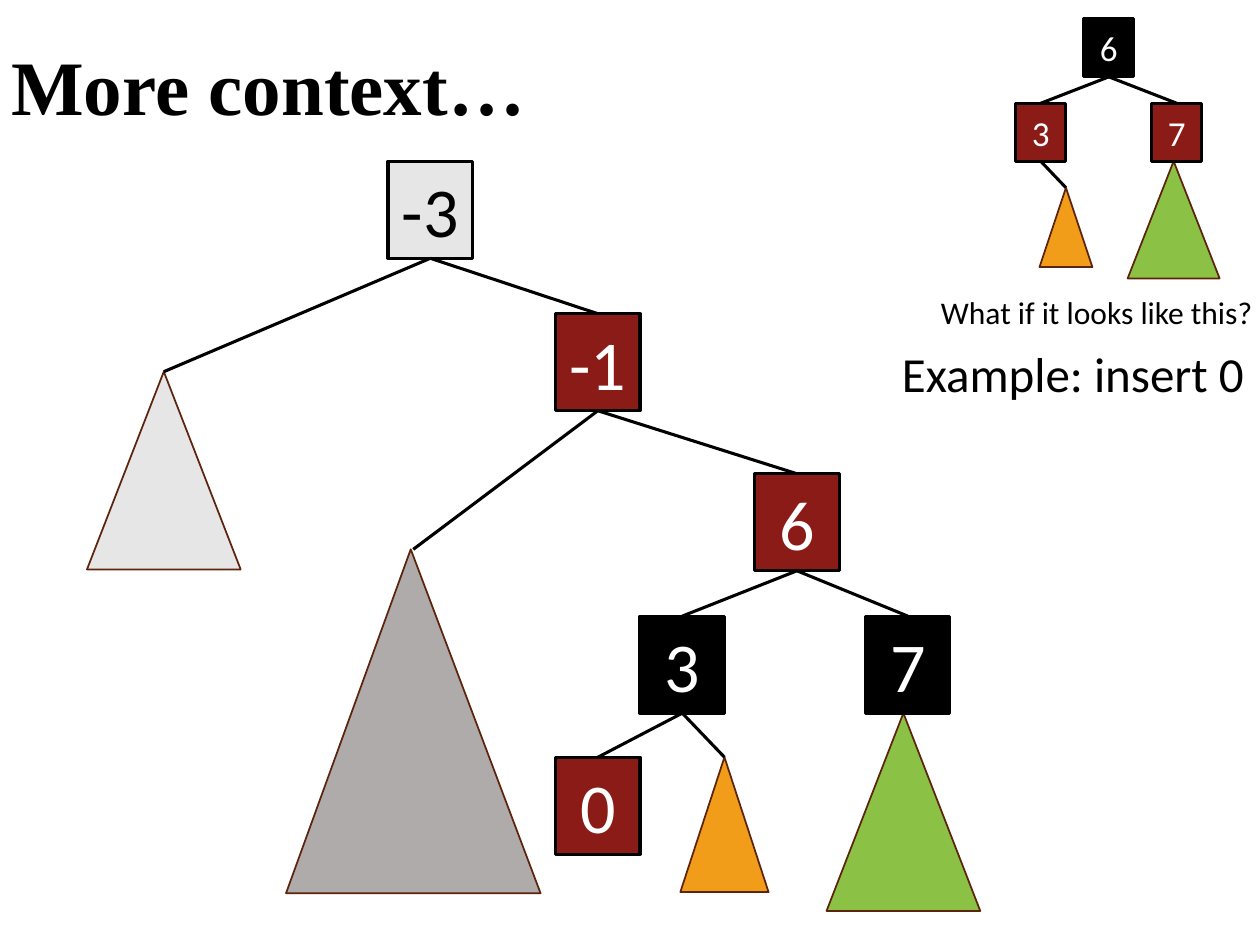
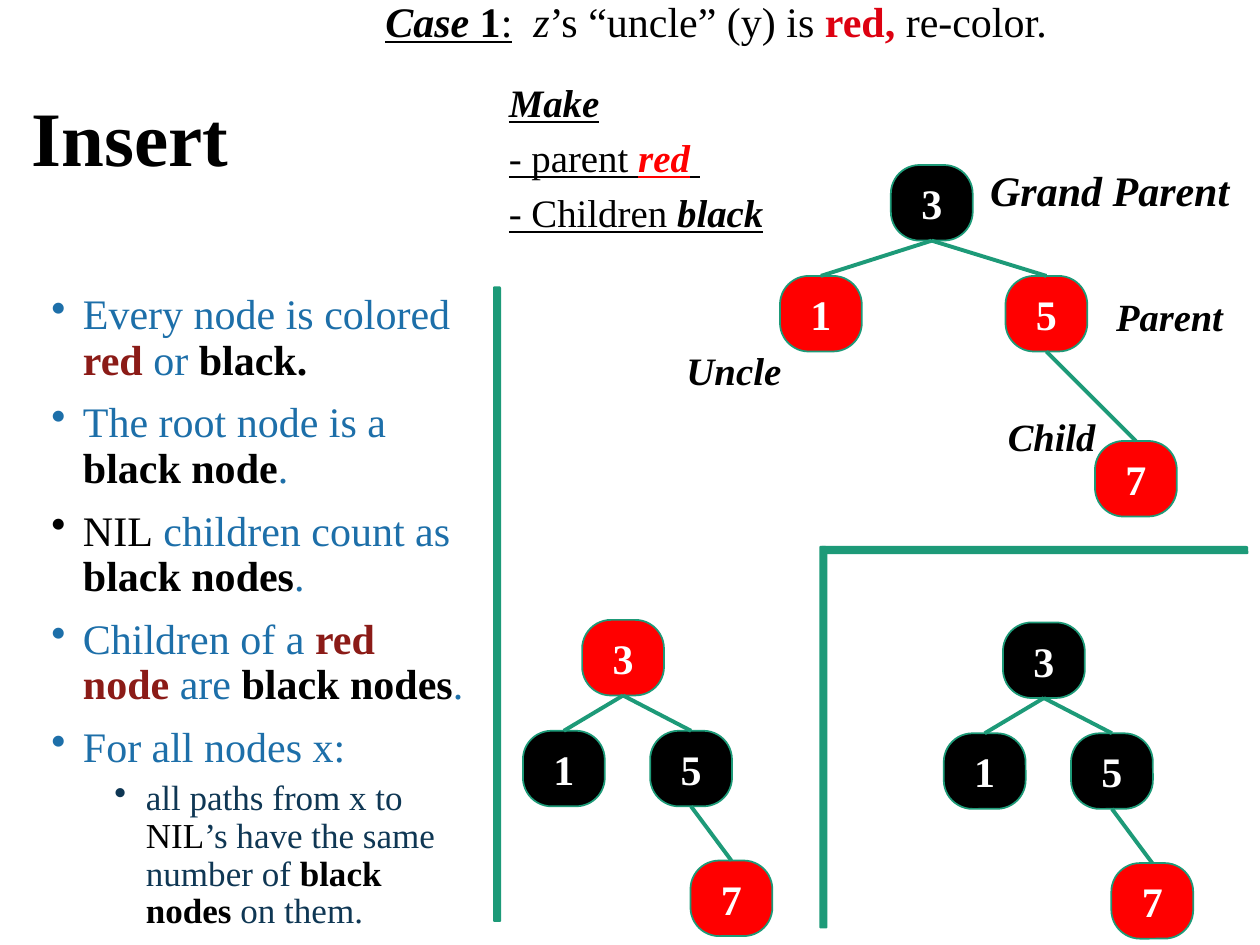
from lxml.etree import SubElement
from pptx import Presentation
from pptx.dml.color import RGBColor
from pptx.enum.shapes import MSO_CONNECTOR, MSO_SHAPE as SHAPE
from pptx.enum.text import MSO_ANCHOR as ANCHOR, MSO_AUTO_SIZE, PP_ALIGN as ALIGN
from pptx.oxml.ns import qn
from pptx.util import Inches, Pt

COLOURS = {
    "black": "000000", "white": "FFFFFF", "dark red": "8B1B17", "red": "FF0000",
    "crimson": "DD0111", "orange": "F19D19", "green": "8BC145", "brown": "5C240C",
    "pale": "E7E6E6", "grey": "AFABAB", "blue": "1D6FA9", "navy": "0F3754", "teal": "1D9A78",
}
RGB = {name: RGBColor.from_string(code) for name, code in COLOURS.items()}
SERIF, SANS = "Times New Roman", "Calibri"


def write(holder, paragraphs, size, face=SERIF, anchor=ANCHOR.TOP, **layout):
    frame = holder.text_frame
    frame.word_wrap = True
    frame.auto_size = MSO_AUTO_SIZE.NONE
    frame.vertical_anchor = anchor
    for index, runs in enumerate(paragraphs):
        paragraph = frame.add_paragraph() if index else frame.paragraphs[0]
        if index:
            paragraph.space_before = Pt(10)
        for key, value in layout.items():
            setattr(paragraph, key, value)
        for text, colour, marks in runs:
            run = paragraph.add_run()
            run.text = text
            formats = {"name": face, "size": Pt(size), "bold": "b" in marks,
                       "italic": "i" in marks, "underline": "u" in marks}
            for key, value in formats.items():
                setattr(run.font, key, value)
            run.font.color.rgb = RGB[colour]
    return frame


def place(slide, kind, box, fill, line, width=1):
    shape = slide.shapes.add_shape(kind, *map(Inches, box))
    shape.shadow.inherit = False
    shape.fill.solid()
    shape.fill.fore_color.rgb = RGB[fill]
    shape.line.color.rgb = RGB[line]
    shape.line.width = Pt(width)
    return shape


deck = Presentation()
deck.slide_width, deck.slide_height = Inches(10), Inches(7.5)
slides = []
for heading, box in [("More context…", (-0.01, -0.01, 8.62, 1.45)),
                     ("Insert", (0.15, 0.73, 2.81, 0.78))]:
    slide = deck.slides.add_slide(deck.slide_layouts[5])
    title = slide.shapes.title
    title.left, title.top, title.width, title.height = map(Inches, box)
    write(title, [[(heading, "black", "b")]], 44, anchor=ANCHOR.MIDDLE,
          alignment=ALIGN.LEFT, line_spacing=0.9)
    slides.append(slide)
context, insert = slides
links = []

subtrees = {}
for name, box, fill in [
    ("left of -3", (0.69, 2.95, 1.22, 1.57), "pale"),
    ("left of -1", (2.27, 4.36, 2.02, 2.73), "grey"),
    ("right of 3", (5.4, 6.01, 0.7, 1.07), "orange"),
    ("under 7", (6.56, 5.66, 1.22, 1.57), "green"),
    ("small right of 3", (8.25, 1.49, 0.42, 0.63), "orange"),
    ("small under 7", (8.95, 1.28, 0.73, 0.93), "green"),
]:
    subtrees[name] = place(context, SHAPE.ISOSCELES_TRIANGLE, box, fill, "brown")
subtrees["left of -1"].adjustments[0] = 0.49

big, small = (0.67, 0.77, 40), (0.4, 0.46, 20)
nodes = {}
for name, left, top, fill, (width, height, size) in [
    ("-3", 3.08, 1.28, "pale", big),
    ("-1", 4.41, 2.49, "dark red", big),
    ("6", 5.99, 3.76, "dark red", big),
    ("3", 5.08, 4.89, "black", big),
    ("7", 6.87, 4.89, "black", big),
    ("0", 4.41, 6.01, "dark red", big),
    ("small 6", 8.6, 0.15, "black", small),
    ("small 3", 8.06, 0.82, "dark red", small),
    ("small 7", 9.14, 0.82, "dark red", small),
]:
    node = place(context, SHAPE.RECTANGLE, (left, top, width, height), fill, "black", 1.75)
    ink = "black" if fill == "pale" else "white"
    write(node, [[(name.split()[-1], ink, "")]], size, SANS, ANCHOR.MIDDLE,
          alignment=ALIGN.CENTER)
    nodes[name] = node

tree_parts = {**subtrees, **nodes}
for parent, children in {
    "-3": ["left of -3", "-1"], "-1": ["left of -1", "6"], "6": ["3", "7"],
    "3": ["0", "right of 3"], "small 6": ["small 3", "small 7"],
    "small 3": ["small right of 3"],
}.items():
    for child in children:
        links.append((context, nodes[parent], tree_parts[child], "black", 1.75))

for words, box, size in [("Example: insert 0", (7.06, 2.68, 4.04, 1.99), 28),
                         ("What if it looks like this?", (7.37, 2.28, 3.16, 0.4), 18)]:
    caption = context.shapes.add_textbox(*map(Inches, box))
    write(caption, [[(words, "black", "")]], size, SANS)

for divider in [(3.92, 2.28, 0.05, 5.03), (6.52, 4.34, 3.38, 0.05), (6.51, 4.34, 0.05, 3.02)]:
    place(insert, SHAPE.ROUND_1_RECTANGLE, divider, "teal", "teal")

wide = [(0, 0), (-0.88, 0.88), (0.91, 0.88), (1.62, 2.19)]
narrow = [(0, 0), (-0.47, 0.88), (0.54, 0.88), (0.86, 1.91)]
for left, top, offsets, fills in [
    (7.07, 1.31, wide, ["black", "red", "red", "red"]),
    (4.62, 4.92, narrow, ["red", "black", "black", "red"]),
    (7.96, 4.94, narrow, ["black", "black", "black", "red"]),
]:
    family = []
    for key, (across, down), fill in zip("3157", offsets, fills):
        node = place(insert, SHAPE.ROUNDED_RECTANGLE,
                     (left + across, top + down, 0.65, 0.6), fill, "teal")
        node.adjustments[0] = 0.38
        frame = write(node, [[(key, "white", "b")]], 24, anchor=ANCHOR.MIDDLE,
                      alignment=ALIGN.CENTER)
        for side in ("left", "top", "right", "bottom"):
            setattr(frame, "margin_" + side, 0)
        family.append(node)
    for parent, child in [(0, 1), (0, 2), (2, 3)]:
        links.append((insert, family[parent], family[child], "teal", 2.25))

for slide, parent, child, colour, width in links:
    edge = slide.shapes.add_connector(MSO_CONNECTOR.STRAIGHT, 0, 0, 0, 0)
    edge.begin_connect(parent, 2)
    edge.end_connect(child, 0)
    edge.line.color.rgb = RGB[colour]
    edge.line.width = Pt(width)
    SubElement(edge._element.spPr, qn("a:effectLst"))

for role, box, size, spacing in [
    ("Parent", (8.76, 2.28, 1.11, 0.51), 22, 1.0),
    ("Grand Parent", (7.76, 1.26, 2.16, 0.51), 24, 1.0),
    ("Uncle", (5.35, 2.7, 1, 0.51), 22.2, 1.0),
    ("Child", (7.9, 3.27, 0.95, 0.43), 22, 0.9),
]:
    label = insert.shapes.add_textbox(*map(Inches, box))
    write(label, [[(role, "black", "bi")]], size, line_spacing=spacing)

case = insert.shapes.add_textbox(*map(Inches, (2.96, -0.04, 5.7, 0.51)))
write(case, [[
    ("Case", "black", "biu"), (" 1", "black", "bu"), (":", "black", "u"),
    ("  ", "black", ""), ("z", "black", "i"), ("’s “uncle” (y) is ", "black", ""),
    ("red, ", "crimson", "b"), ("re-color.", "black", ""),
]], 24, line_spacing=0.9)

recolouring = insert.shapes.add_textbox(*map(Inches, (3.94, 0.65, 2.47, 1.28)))
write(recolouring, [
    [("Make", "black", "biu")],
    [("- parent ", "black", "u"), ("red", "red", "biu"), (" ", "black", "u")],
    [("- Children ", "black", "u"), ("black", "black", "biu")],
], 22.2, line_spacing=0.8)

rules = insert.shapes.add_textbox(*map(Inches, (0.31, 2.28, 3.52, 5.43)))
rule_lines = write(rules, [
    [("Every node is colored ", "blue", ""), ("red", "dark red", "b"),
     (" or ", "blue", ""), ("black.", "black", "b")],
    [("The root node is a ", "blue", ""), ("black node", "black", "b"), (".", "blue", "")],
    [("NIL", "black", ""), (" children count as ", "blue", ""),
     ("black nodes", "black", "b"), (".", "blue", "")],
    [("Children of a ", "blue", ""), ("red node ", "dark red", "b"), ("are ", "blue", ""),
     ("black nodes", "black", "b"), (".", "blue", "")],
    [("For all nodes x:", "blue", "")],
    [("all paths from x to ", "navy", ""), ("NIL", "black", ""),
     ("’s have the same number of ", "navy", ""), ("black nodes ", "black", "b"),
     ("on them.", "navy", "")],
], 24, line_spacing=0.9).paragraphs
path_rule = rule_lines[-1]
path_rule.level = 1
path_rule.space_before = Pt(5)
for run in path_rule.runs:
    run.font.size = Pt(20)
for rule in rule_lines:
    properties = rule._p.get_or_add_pPr()
    properties.set("marL", str(Inches(0.75 if rule.level else 0.25)))
    properties.set("indent", str(Inches(-0.25)))
    SubElement(properties, qn("a:buChar")).set("char", "•")

deck.save("out.pptx")
